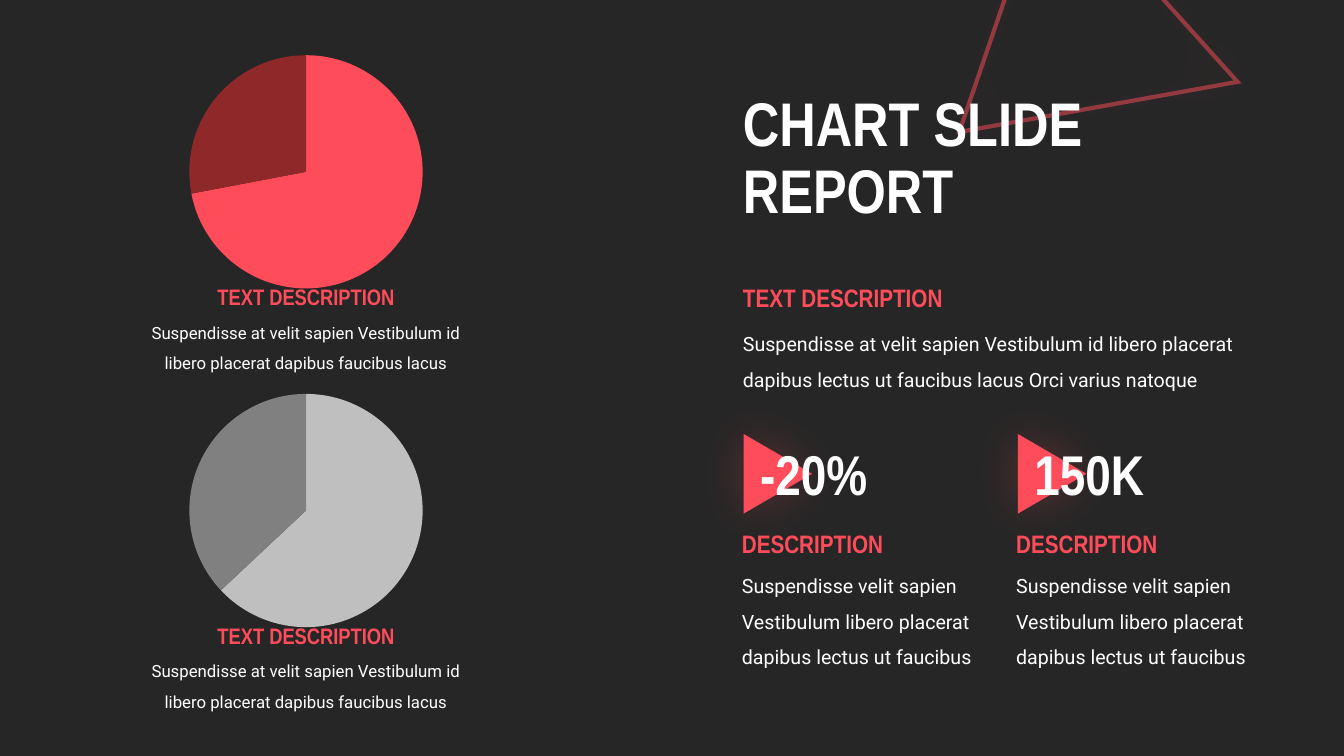
from pptx import Presentation
from pptx.chart.data import CategoryChartData
from pptx.dml.color import RGBColor
from pptx.enum.chart import XL_CHART_TYPE as ChartType
from pptx.enum.shapes import MSO_SHAPE as Shape
from pptx.enum.text import MSO_ANCHOR as Anchor, MSO_AUTO_SIZE as AutoSize, PP_ALIGN as Align
from pptx.oxml import parse_xml
from pptx.oxml.ns import nsdecls, qn
from pptx.util import Inches, Pt
from lxml.etree import SubElement

DARK = RGBColor(0x26, 0x26, 0x26)
WHITE = RGBColor(0xFF, 0xFF, 0xFF)
CORAL = RGBColor(0xFF, 0x4C, 0x5B)
MAROON = RGBColor(0x8F, 0x28, 0x28)
SILVER = RGBColor(0xBF, 0xBF, 0xBF)
GRAY = RGBColor(0x80, 0x80, 0x80)
HEAD_FONT, BODY_FONT = "Arial Narrow", "Roboto"

prs = Presentation()
prs.slide_width, prs.slide_height = Inches(13.33), Inches(7.5)
slide = prs.slides.add_slide(prs.slide_layouts[6])
slide.background.fill.solid()
slide.background.fill.fore_color.rgb = DARK


def add_text(box, text, size, color=WHITE, heading=False, align=Align.LEFT, spacing=1.0):
    left, top, width, height = map(Inches, box)
    frame = slide.shapes.add_textbox(left, top, width, height).text_frame
    frame.word_wrap = True
    frame.auto_size = AutoSize.SHAPE_TO_FIT_TEXT
    paragraph = frame.paragraphs[0]
    paragraph.alignment = align
    paragraph.line_spacing = spacing
    for i, line in enumerate(text.split("\n")):
        if i:
            paragraph.add_line_break()
        run = paragraph.add_run()
        run.text = line
        run.font.size = Pt(size)
        run.font.name = HEAD_FONT if heading else BODY_FONT
        run.font.bold = heading
        run.font.color.rgb = color
    return frame


def add_glowing_triangle(left, top, width, height, rotation):
    triangle = slide.shapes.add_shape(
        Shape.ISOSCELES_TRIANGLE, Inches(left), Inches(top), Inches(width), Inches(height))
    triangle.rotation = rotation
    triangle.shadow.inherit = False
    triangle._element.spPr.find(qn("a:effectLst")).append(parse_xml(
        f'<a:outerShdw {nsdecls("a")} blurRad="{Pt(35)}" dist="0" dir="0" algn="ctr" '
        f'rotWithShape="0"><a:srgbClr val="{CORAL}"><a:alpha val="25000"/></a:srgbClr>'
        '</a:outerShdw>'))
    return triangle


# Left panel
panel = slide.shapes.add_shape(Shape.RECTANGLE, 0, 0, Inches(6.07), Inches(7.5))
panel.shadow.inherit = False
panel.fill.solid()
panel.fill.fore_color.rgb = DARK
panel.line.fill.background()
panel_color = panel._element.spPr.find(qn("a:solidFill"))[0]
SubElement(panel_color, qn("a:alpha")).set("val", "90000")

# Outlined triangle behind the title
outline = add_glowing_triangle(9.75, -0.81, 2.73, 2.45, 108.9)
outline.fill.background()
outline.line.color.rgb = CORAL
outline.line.width = Pt(3)
stroke = outline._element.spPr.find(qn("a:ln"))
SubElement(stroke.find(qn("a:solidFill"))[0], qn("a:alpha")).set("val", "50000")
SubElement(stroke, qn("a:miter")).set("lim", "800000")

# Title
title = add_text((7.27, 0.8, 5.62, 1.58), "CHART SLIDE\nREPORT", 44, heading=True, spacing=0.9)
title.auto_size = AutoSize.NONE
title.vertical_anchor = Anchor.MIDDLE

# Pie charts with captions
pies = [
    (0.41, (72, 28), (CORAL, MAROON)),
    (3.77, (63, 37), (SILVER, GRAY)),
]
for top, shares, colors in pies:
    data = CategoryChartData()
    data.categories = ["1", "2"]
    data.add_series("Series 1", shares)
    chart = slide.shapes.add_chart(
        ChartType.PIE, Inches(1.3), Inches(top), Inches(3.47), Inches(2.59), data).chart
    chart.has_legend = False
    chart.has_title = False
    chart.font.size = Pt(10)
    chart.font.name = BODY_FONT
    chart.font.color.rgb = WHITE
    chart.plots[0].vary_by_categories = True
    for i, color in enumerate(colors):
        slice_format = chart.plots[0].series[0].points[i].format
        slice_format.fill.solid()
        slice_format.fill.fore_color.rgb = color
        slice_format.line.fill.background()
    add_text((1.3, top + 2.64, 3.47, 0.67),
             "Suspendisse at velit sapien Vestibulum id libero placerat dapibus faucibus lacus",
             12, align=Align.CENTER, spacing=1.5)
    add_text((1.81, top + 2.35, 2.45, 0.37), "TEXT DESCRIPTION", 16, CORAL,
             heading=True, align=Align.CENTER)

# Introduction
add_text((7.27, 3.13, 5.13, 0.77),
         "Suspendisse at velit sapien Vestibulum id libero placerat dapibus lectus "
         "ut faucibus lacus Orci varius natoque", 14, spacing=1.5)
add_text((7.27, 2.75, 2.45, 0.4), "TEXT DESCRIPTION", 18, CORAL, heading=True)

# Key figures
for left, figure in ((7.26, "-20%"), (9.98, "150K")):
    marker = add_glowing_triangle(left + 0.06, 4.36, 0.79, 0.68, 90)
    marker.fill.solid()
    marker.fill.fore_color.rgb = CORAL
    marker.line.fill.background()
    add_text((left, 5.53, 2.81, 1.12),
             "Suspendisse velit sapien Vestibulum libero placerat dapibus lectus ut faucibus",
             14, spacing=1.5)
    add_text((left, 5.19, 2.45, 0.4), "DESCRIPTION", 18, CORAL, heading=True)
    add_text((left + 0.18, 4.31, 1.79, 0.77), figure, 40, heading=True)

prs.save("out.pptx")
